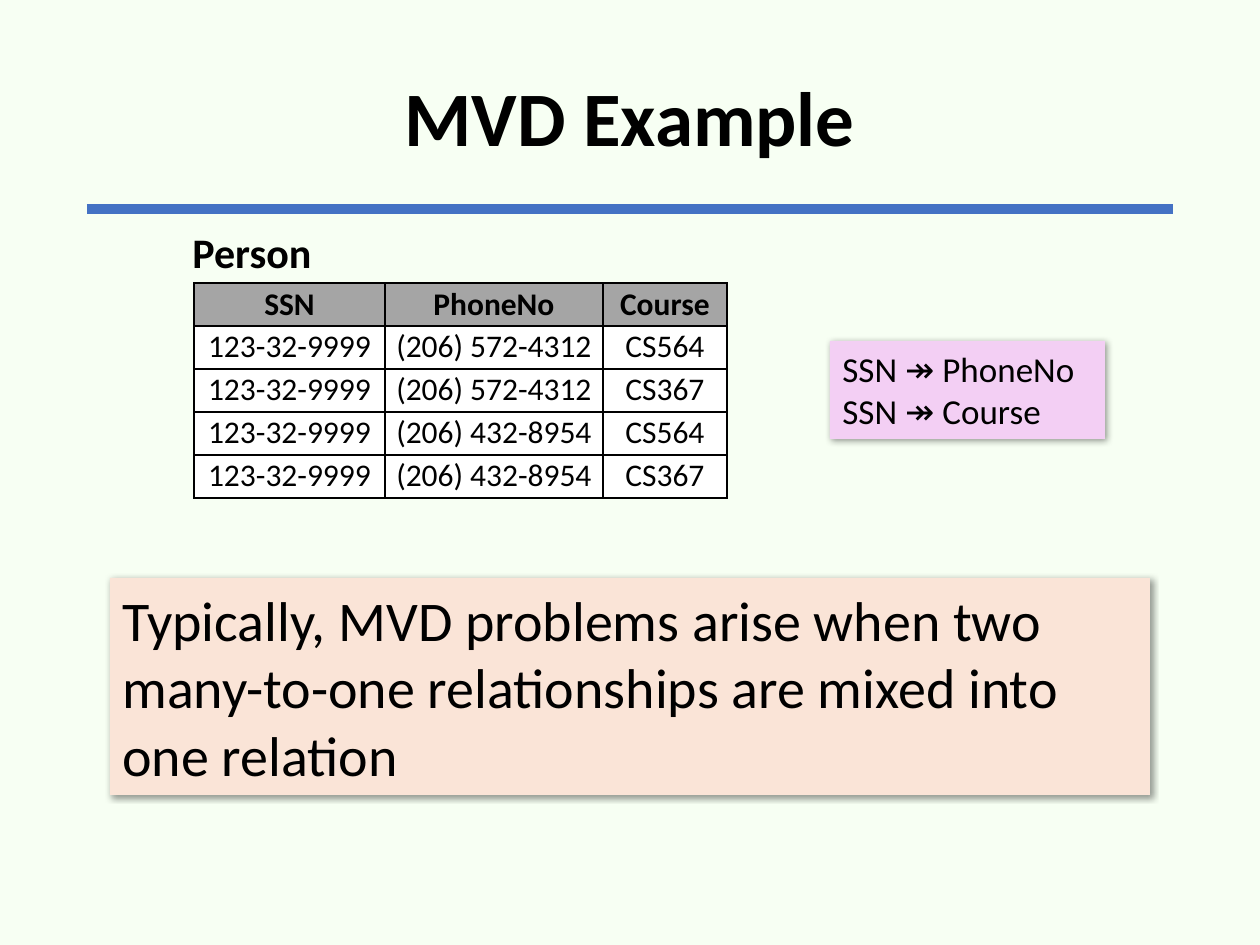
from lxml import etree
from pptx import Presentation
from pptx.dml.color import RGBColor
from pptx.enum.shapes import MSO_CONNECTOR, MSO_SHAPE
from pptx.enum.text import MSO_ANCHOR, PP_ALIGN
from pptx.oxml import parse_xml
from pptx.oxml.ns import nsdecls, qn
from pptx.util import Emu, Pt

STRAIGHT = MSO_CONNECTOR.STRAIGHT
RECTANGLE = MSO_SHAPE.RECTANGLE
MIDDLE = MSO_ANCHOR.MIDDLE
LEFT, CENTER = PP_ALIGN.LEFT, PP_ALIGN.CENTER

BACKGROUND = RGBColor(0xF7, 0xFF, 0xF3)
BLACK = RGBColor(0, 0, 0)
WHITE = RGBColor(0xFF, 0xFF, 0xFF)
BLUE = RGBColor(0x44, 0x72, 0xC4)
GRAY = RGBColor(0xA5, 0xA5, 0xA5)
PEACH = RGBColor(0xFA, 0xE4, 0xD7)
PINK = RGBColor(0xF3, 0xCF, 0xF4)

FONT = "Calibri"
PX_PER_INCH = 126

PERSON_COLUMNS = [("SSN", 191), ("PhoneNo", 218), ("Course", 124)]
SSN = "123-32-9999"
PHONES = ["(206) 572-4312", "(206) 432-8954"]
COURSES = ["CS564", "CS367"]
DEPENDENCIES = ["SSN ↠ PhoneNo", "SSN ↠ Course"]
CONCLUSION = ("Typically, MVD problems arise when two many-to-one "
              "relationships are mixed into one relation")


def px(length):
    """Turn a length in px into EMU."""
    return Emu(round(length * 914400 / PX_PER_INCH))


def write(frame, lines, size, bold=False, align=LEFT):
    """Fill a text frame with one paragraph per line."""
    frame.text = "\n".join(lines)
    for paragraph in frame.paragraphs:
        paragraph.alignment = align
        paragraph.font.name = FONT
        paragraph.font.size = Pt(size)
        paragraph.font.bold = bold
        paragraph.font.color.rgb = BLACK


def add_heading(slide, left, top, width, height):
    """Place the centred title with the thick rule along its bottom edge."""
    rule_y = top + height - 4
    rule = slide.shapes.add_connector(
        STRAIGHT, px(left), px(rule_y), px(left + width), px(rule_y))
    rule.line.color.rgb = BLUE
    rule.line.width = Pt(6)
    etree.SubElement(rule._element.spPr, qn("a:effectLst"))
    title = slide.shapes.add_textbox(px(left), px(top), px(width), px(height))
    title.text_frame.word_wrap = True
    title.text_frame.vertical_anchor = MIDDLE
    write(title.text_frame, ["MVD Example"], 44, True, CENTER)
    title.text_frame.paragraphs[0].line_spacing = 0.9


def add_borders(cell):
    """Draw a thin black border on every side of a table cell."""
    properties = cell._tc.get_or_add_tcPr()
    for side in ("lnL", "lnR", "lnT", "lnB"):
        properties.append(parse_xml(
            f'<a:{side} {nsdecls("a")} w="12700"><a:solidFill>'
            f'<a:srgbClr val="{BLACK}"/></a:solidFill></a:{side}>'))


def add_person_table(slide, left, top, row_height):
    """Place the Person relation with its name above the table."""
    name = slide.shapes.add_textbox(
        px(left - 14), px(top - 63), px(158), px(63))
    name.text_frame.word_wrap = False
    write(name.text_frame, ["Person"], 24, True)

    rows = [[column for column, _ in PERSON_COLUMNS]]
    rows += [[SSN, phone, course] for phone in PHONES for course in COURSES]
    widths = [width for _, width in PERSON_COLUMNS]
    person = slide.shapes.add_table(
        len(rows), len(widths), px(left), px(top),
        px(sum(widths)), px(row_height * len(rows))).table
    for column, width in zip(person.columns, widths):
        column.width = px(width)
    for r, values in enumerate(rows):
        for c, value in enumerate(values):
            cell = person.cell(r, c)
            cell.margin_left = cell.margin_right = px(2)
            cell.margin_top = cell.margin_bottom = px(2)
            add_borders(cell)
            cell.fill.solid()
            cell.fill.fore_color.rgb = WHITE if r else GRAY
            write(cell.text_frame, [value], 18, r == 0, CENTER)


def add_note(slide, left, top, width, height, lines, size, color):
    """Place a filled note with a soft shadow."""
    note = slide.shapes.add_shape(
        RECTANGLE, px(left), px(top), px(width), px(height))
    note.fill.solid()
    note.fill.fore_color.rgb = color
    note.line.fill.background()
    note.shadow.inherit = False
    note._element.spPr.find(qn("a:effectLst")).append(parse_xml(
        f'<a:outerShdw {nsdecls("a")} blurRad="50800" dist="12700" '
        f'dir="2700000" algn="tl" rotWithShape="0"><a:srgbClr val="{BLACK}">'
        '<a:alpha val="40000"/></a:srgbClr></a:outerShdw>'))
    note.text_frame.word_wrap = True
    note.text_frame.vertical_anchor = MIDDLE
    write(note.text_frame, lines, size)


def main():
    """Build the slide and save it."""
    deck = Presentation()
    deck.slide_width, deck.slide_height = px(1260), px(945)
    slide = deck.slides.add_slide(deck.slide_layouts[6])
    slide.background.fill.solid()
    slide.background.fill.fore_color.rgb = BACKGROUND
    add_heading(slide, 87, 30, 1086, 183)
    add_person_table(slide, 194, 283, 43)
    add_note(slide, 110, 578, 1040, 217, [CONCLUSION], 32, PEACH)
    add_note(slide, 830, 341, 275, 98, DEPENDENCIES, 20, PINK)
    deck.save("out.pptx")


if __name__ == "__main__":
    main()
